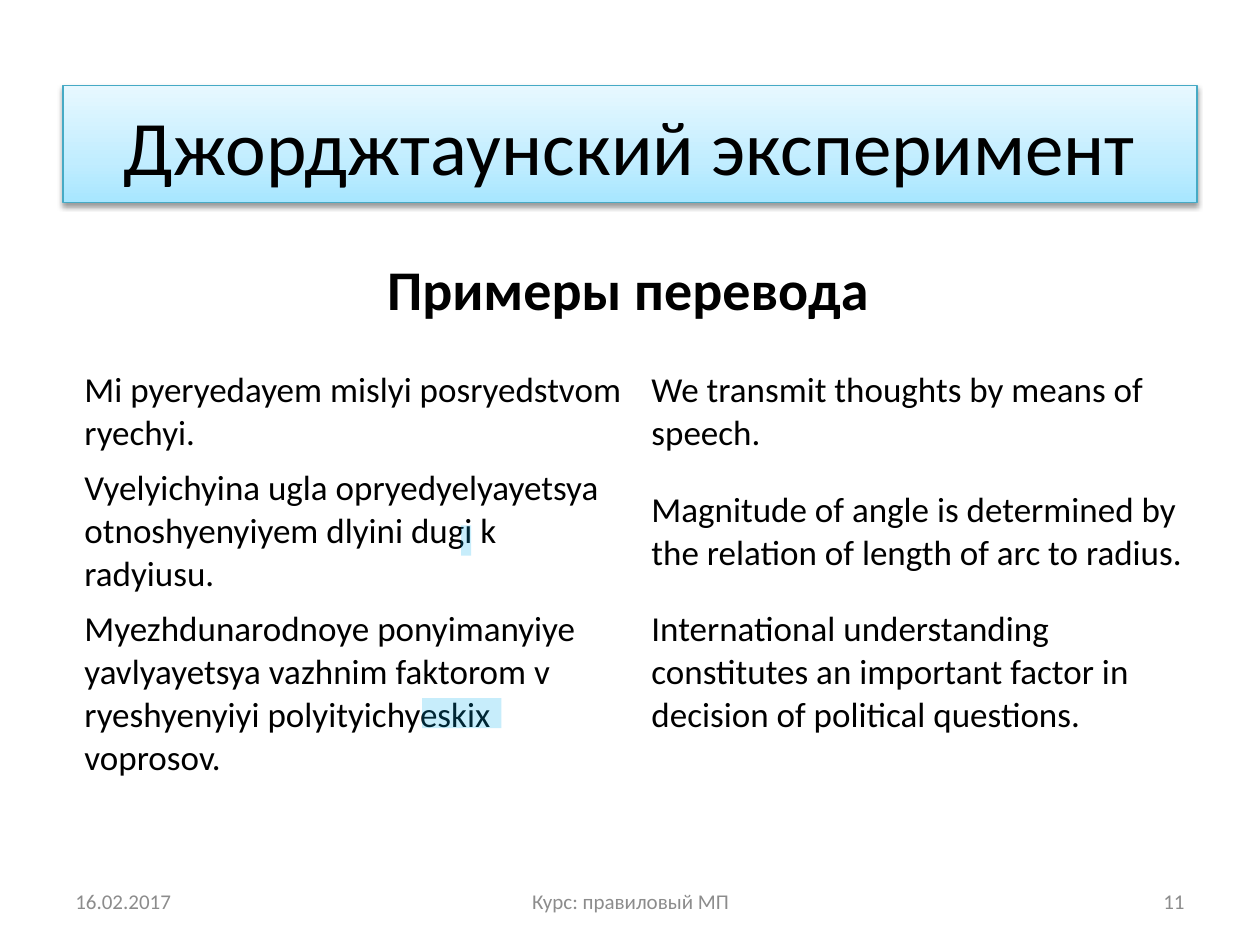
"""Build the slide on the Georgetown experiment with its translation examples."""
import lxml.etree
import pptx
import pptx.dml.color
import pptx.enum.shapes
import pptx.enum.text
import pptx.oxml
import pptx.oxml.ns
import pptx.util

Inches = pptx.util.Inches
Pt = pptx.util.Pt
RGBColor = pptx.dml.color.RGBColor
ALIGN = pptx.enum.text.PP_ALIGN
ANCHOR = pptx.enum.text.MSO_ANCHOR
RECTANGLE = pptx.enum.shapes.MSO_SHAPE.RECTANGLE
COLORS = {
    "text": "000000",
    "footer": "8C8C8C",
    "title_line": "46AAC5",
    "title_bottom": "A7E6FF",
    "title_middle": "C1EDFF",
    "title_top": "E7F8FF",
    "highlight": "00B0F0",
}


def write(text_frame, text, size, color, alignment, bold=False):
    text_frame.word_wrap = True
    paragraph = text_frame.paragraphs[0]
    paragraph.alignment = alignment
    run = paragraph.add_run()
    run.text = text
    run.font.name = "Calibri"
    run.font.size = Pt(size)
    run.font.bold = bold
    run.font.color.rgb = RGBColor.from_string(COLORS[color])
    return paragraph


def add_rectangle(slide, left, top, width, height):
    shape = slide.shapes.add_shape(
        RECTANGLE, Inches(left), Inches(top), Inches(width), Inches(height))
    shape.shadow.inherit = False
    return shape


presentation = pptx.Presentation()
presentation.slide_width = Inches(10)
presentation.slide_height = Inches(7.5)
slide = presentation.slides.add_slide(presentation.slide_layouts[6])

title = add_rectangle(slide, 0.5, 0.68, 9, 0.93)
title.fill.gradient()
title.fill.gradient_angle = 90
stop_list = title._element.spPr.find(".//" + pptx.oxml.ns.qn("a:gsLst"))
stop_list.clear()
for position, name in ((0, "title_bottom"), (35, "title_middle"), (100, "title_top")):
    stop = lxml.etree.SubElement(stop_list, pptx.oxml.ns.qn("a:gs"), pos=str(position * 1000))
    lxml.etree.SubElement(stop, pptx.oxml.ns.qn("a:srgbClr"), val=COLORS[name])
title.line.color.rgb = RGBColor.from_string(COLORS["title_line"])
title.line.width = Pt(0.75)
effects = title._element.spPr.find(pptx.oxml.ns.qn("a:effectLst"))
shadow = lxml.etree.SubElement(
    effects, pptx.oxml.ns.qn("a:outerShdw"), blurRad=str(Pt(3.1)), dist=str(Pt(1.6)),
    dir=str(90 * 60000), rotWithShape="0")
shadow_color = lxml.etree.SubElement(shadow, pptx.oxml.ns.qn("a:srgbClr"), val=COLORS["text"])
lxml.etree.SubElement(shadow_color, pptx.oxml.ns.qn("a:alpha"), val="38000")
title.text_frame.vertical_anchor = ANCHOR.MIDDLE
write(title.text_frame, "Джорджтаунский эксперимент", 44, "text", ALIGN.CENTER)

subtitle = slide.shapes.add_textbox(Inches(0.28), Inches(1.97), Inches(9.29), Inches(0.76))
paragraph = write(subtitle.text_frame, "Примеры перевода", 32, "text", ALIGN.CENTER, bold=True)
paragraph.space_before = Pt(6.4)
paragraph._p.get_or_add_pPr().set("marL", str(Inches(0.12)))

footers = (
    (0.5, 2.33, "16.02.2017", ALIGN.LEFT),
    (3.42, 3.17, "Курс: правиловый МП", ALIGN.CENTER),
    (7.17, 2.33, "11", ALIGN.RIGHT),
)
for left, width, text, alignment in footers:
    footer = slide.shapes.add_textbox(Inches(left), Inches(6.95), Inches(width), Inches(0.4))
    footer.text_frame.vertical_anchor = ANCHOR.MIDDLE
    write(footer.text_frame, text, 12, "footer", alignment)

translations = (
    ("Mi pyeryedayem mislyi posryedstvom ryechyi.",
     "We transmit thoughts by means of speech."),
    ("Vyelyichyina ugla opryedyelyayetsya otnoshyenyiyem dlyini dugi k radyiusu.",
     "Magnitude of angle is determined by the relation of length of arc to radius."),
    ("Myezhdunarodnoye ponyimanyiye yavlyayetsya vazhnim faktorom v "
     "ryeshyenyiyi polyityichyeskix voprosov.",
     "International understanding constitutes an important factor in "
     "decision of political questions."),
)
table = slide.shapes.add_table(
    len(translations), 2, Inches(0.57), Inches(2.88), Inches(9), Inches(3.3)).table
table.first_row = False
table.horz_banding = False
for row_index, (row_height, sentences) in enumerate(zip((0.78, 1.12, 1.4), translations)):
    table.rows[row_index].height = Inches(row_height)
    for column_index, sentence in enumerate(sentences):
        cell = table.cell(row_index, column_index)
        cell.fill.background()
        cell.vertical_anchor = ANCHOR.MIDDLE
        write(cell.text_frame, sentence, 20, "text", ALIGN.LEFT)
table.cell(2, 1).vertical_anchor = ANCHOR.TOP

for left, top, width in ((3.35, 5.54, 0.63), (3.66, 4.17, 0.08)):
    highlight = add_rectangle(slide, left, top, width, 0.24)
    highlight.fill.solid()
    highlight.fill.fore_color.rgb = RGBColor.from_string(COLORS["highlight"])
    highlight.line.fill.background()
    fill_color = highlight._element.spPr.find(".//" + pptx.oxml.ns.qn("a:srgbClr"))
    lxml.etree.SubElement(fill_color, pptx.oxml.ns.qn("a:alpha"), val="22000")

presentation.save("out.pptx")
